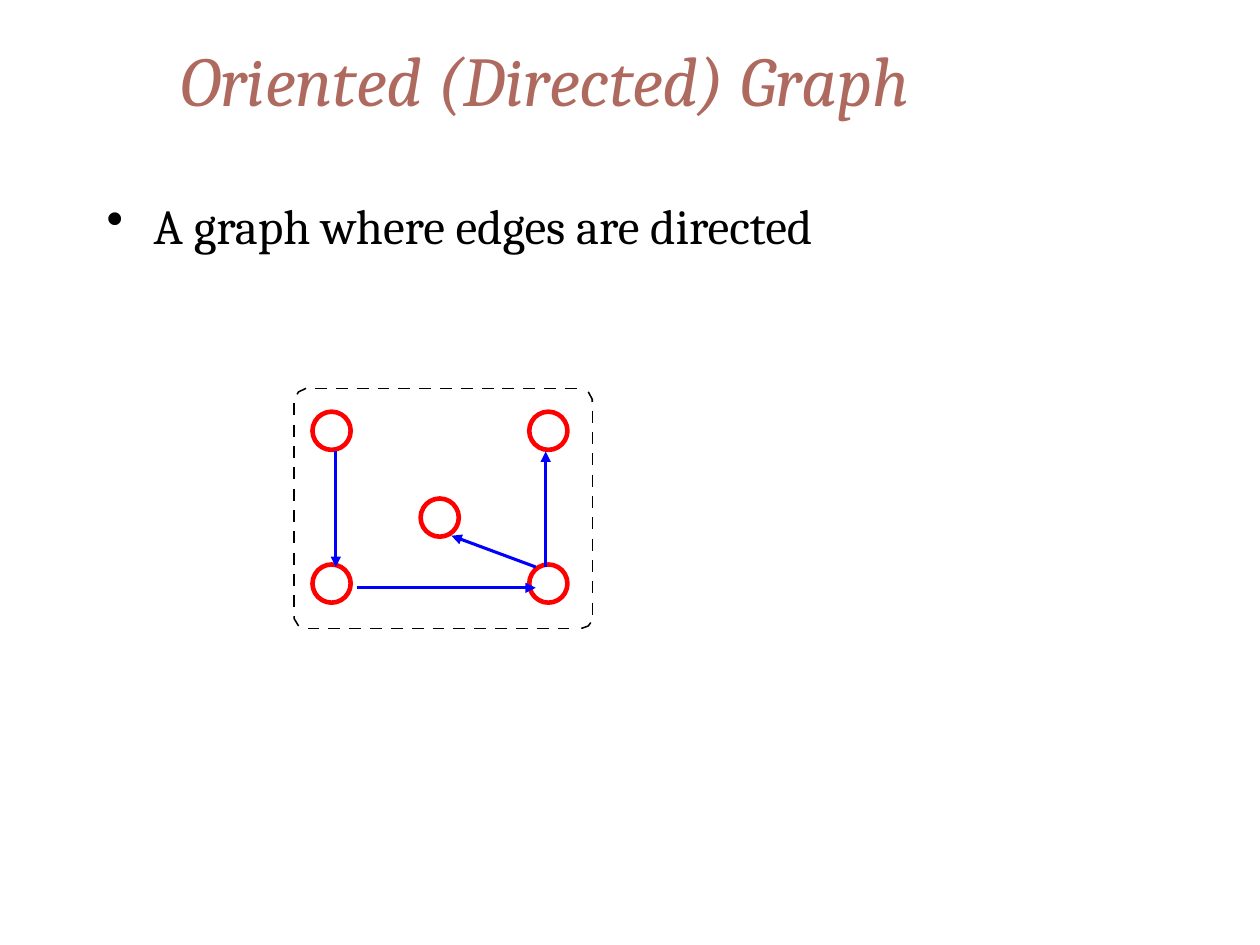
"""Build a slide that shows a small directed graph inside a dashed frame."""
from lxml import etree
from pptx import Presentation
from pptx import util as u
from pptx.dml.color import RGBColor
from pptx.enum import shapes, text
from pptx.oxml.ns import qn

BLACK = RGBColor(0x00, 0x00, 0x00)
WHITE = RGBColor(0xFF, 0xFF, 0xFF)
RED = RGBColor(0xFF, 0x00, 0x00)
BLUE = RGBColor(0x00, 0x00, 0xFF)
BROWN = RGBColor(0xAF, 0x6A, 0x5F)


def add_text(box, words, size, color, anchor):
    s = sp.add_textbox(*[u.Cm(v) for v in box])
    tf = s.text_frame
    tf.word_wrap = True
    tf.vertical_anchor = anchor
    p = tf.paragraphs[0]
    p.text = words
    p.alignment = text.PP_ALIGN.LEFT
    r = p.runs[0]
    r.font.name = "Cambria"
    r.font.size = u.Pt(size)
    r.font.color.rgb = color
    return p


def add_line(x1, y1, x2, y2, color, width):
    s = sp.add_connector(shapes.MSO_CONNECTOR.STRAIGHT,
                         u.Cm(x1), u.Cm(y1), u.Cm(x2), u.Cm(y2))
    s.line.color.rgb = color
    s.line.width = u.Pt(width)
    etree.SubElement(s._element.spPr, qn("a:effectLst"))
    return s


prs = Presentation()
prs.slide_width = u.Cm(25.4)
prs.slide_height = u.Cm(19.05)
sp = prs.slides.add_slide(prs.slide_layouts[6]).shapes

p = add_text((3.38, 0, 21.59, 3.18), "Oriented (Directed) Graph", 40, BROWN,
             text.MSO_ANCHOR.MIDDLE)
p.runs[0].font.italic = True

p = add_text((1.9, 3.81, 21.59, 13.59), "A graph where edges are directed", 28,
             BLACK, text.MSO_ANCHOR.TOP)
p.space_before = u.Pt(7)
pPr = p._p.get_or_add_pPr()
pPr.set("marL", str(u.Cm(0.95)))
pPr.set("indent", str(u.Cm(-0.95)))
etree.SubElement(pPr, qn("a:buChar")).set("char", "•")

left, top, right, bottom = 5.93, 7.83, 11.94, 12.67
dash, frame_width = 0.24, 0.88
for y, start in ((top, 6.35), (bottom, 6.2)):
    for i in range(13):
        x = start + 0.42 * i
        add_line(x, y, x + dash, y, BLACK, frame_width)
for x, start in ((left, 8.13), (right, 8.28)):
    for i in range(10):
        y = start + 0.43 * i
        add_line(x, y, x, y + dash, BLACK, frame_width)

corners = [
    [(6.17, top), (6.02, 7.9), (5.99, 7.95)],
    [(right, 8.1), (right, 8.05), (11.86, 7.9)],
    [(left, 12.42), (left, 12.47), (6.02, 12.62)],
    [(11.72, bottom), (11.86, 12.62), (11.91, 12.55)],
]
for corner in corners:
    points = [(u.Cm(x), u.Cm(y)) for x, y in corner]
    fb = sp.build_freeform(*points[0])
    fb.add_line_segments(points[1:], close=False)
    s = fb.convert_to_shape()
    s.shadow.inherit = False
    s.fill.background()
    s.line.color.rgb = BLACK
    s.line.width = u.Pt(frame_width)

nodes = [(6.3, 8.3), (10.67, 8.3), (8.48, 10.05), (6.3, 11.38), (10.67, 11.38)]
for x, y in nodes:
    s = sp.add_shape(shapes.MSO_SHAPE.OVAL, u.Cm(x), u.Cm(y), u.Cm(0.77), u.Cm(0.77))
    s.shadow.inherit = False
    s.fill.solid()
    s.fill.fore_color.rgb = WHITE
    s.line.color.rgb = RED
    s.line.width = u.Pt(2.64)

edges = [
    (6.77, 9.1, 6.77, 11.43, 1.75),
    (7.2, 11.85, 10.8, 11.85, 1.75),
    (10.8, 11.43, 9.1, 10.8, 1.75),
    (11, 11.43, 11, 9.1, 2),
]
for *ends, width in edges:
    s = add_line(*ends, BLUE, width)
    etree.SubElement(s.line._get_or_add_ln(), qn("a:tailEnd")).set("type", "triangle")

prs.save("out.pptx")
